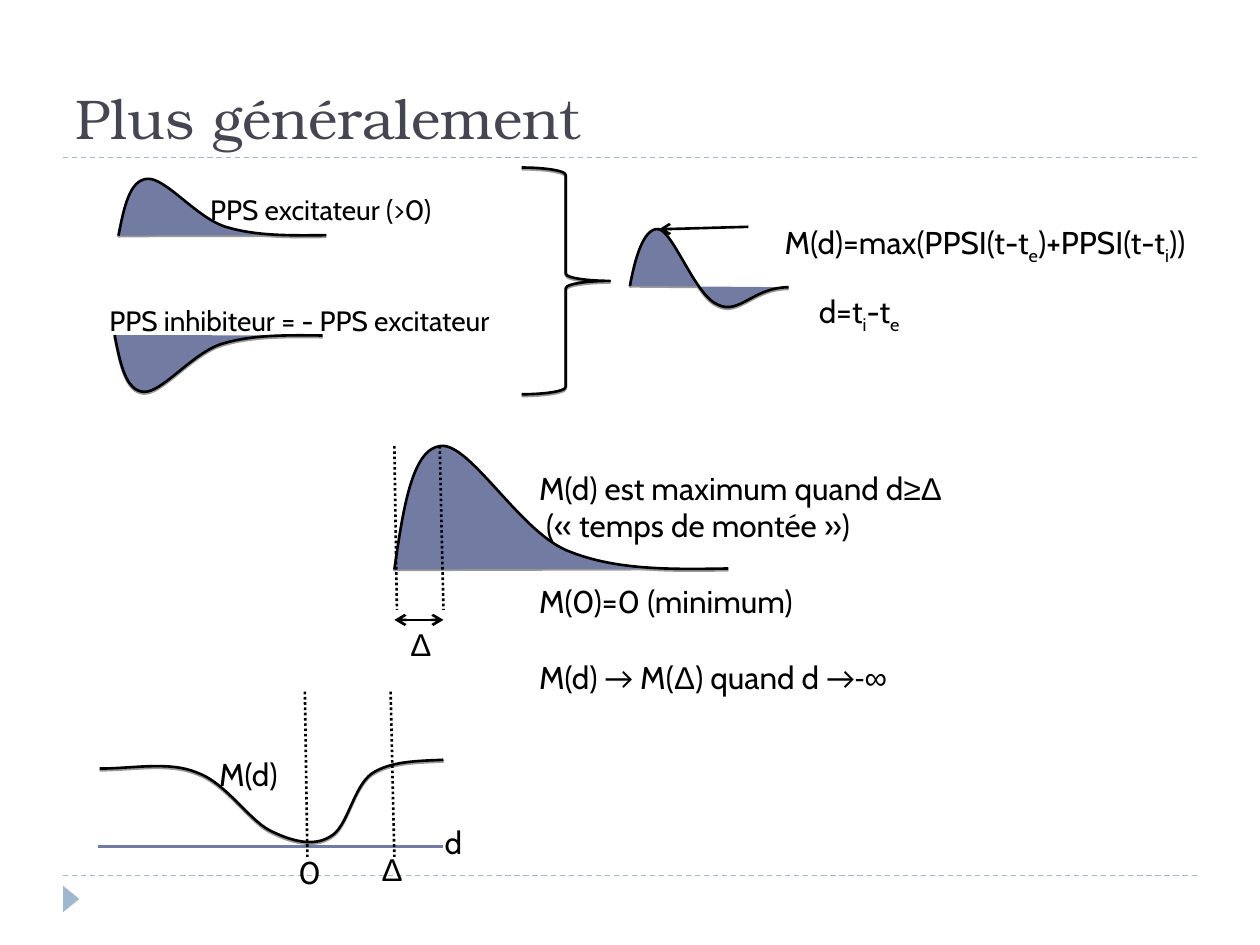
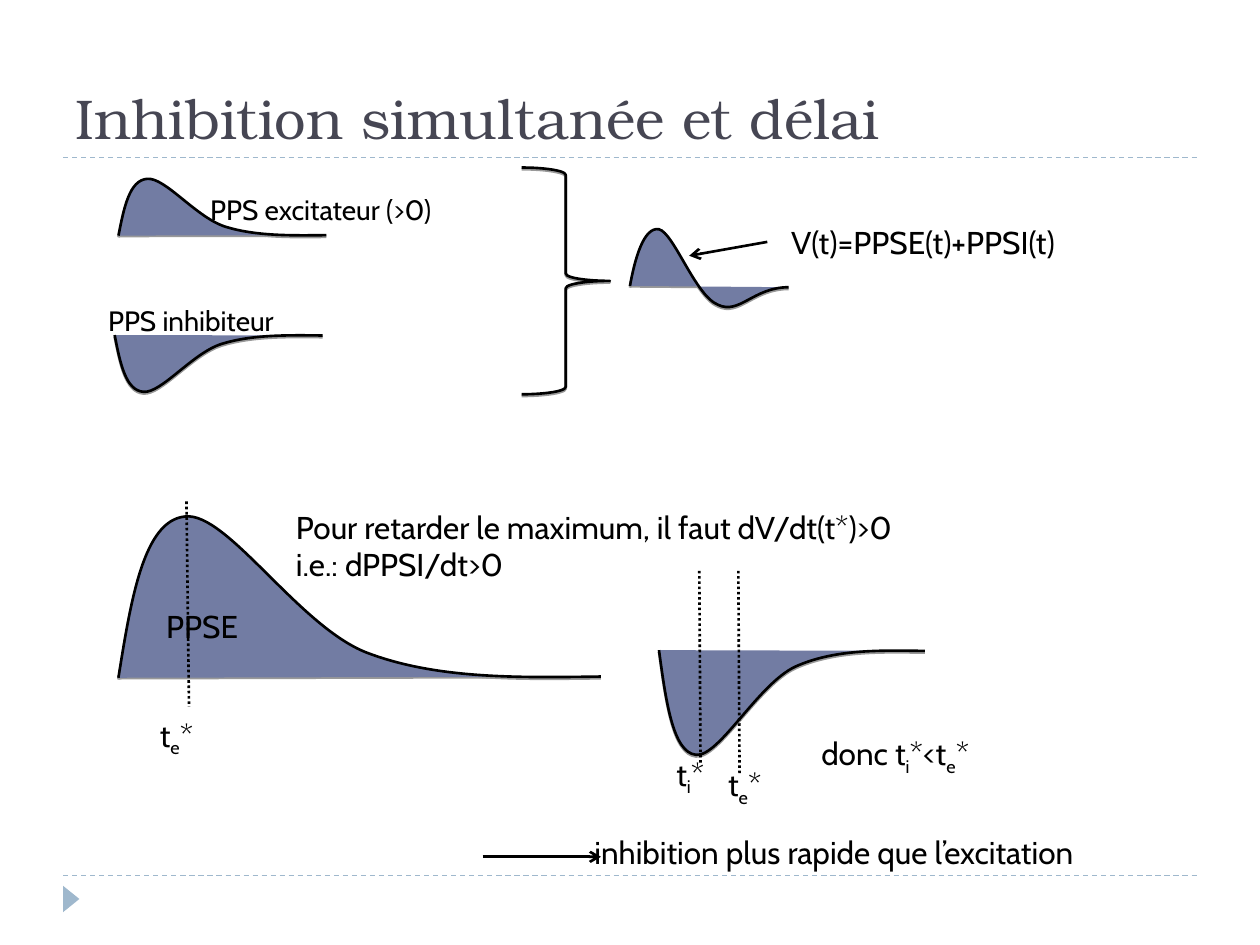
"""Builds two slides on excitatory and inhibitory postsynaptic potentials."""
from itertools import groupby

from lxml.etree import SubElement
from pptx import Presentation
from pptx.dml.color import RGBColor
from pptx.enum.dml import MSO_LINE_DASH_STYLE as DASH
from pptx.enum.shapes import MSO_CONNECTOR, MSO_SHAPE
from pptx.enum.text import MSO_ANCHOR, MSO_AUTO_SIZE, PP_ALIGN
from pptx.oxml.ns import qn
from pptx.util import Inches, Pt

BLACK = RGBColor(0x00, 0x00, 0x00)
INDIGO = RGBColor(0x72, 0x7C, 0xA3)
PALE_BLUE = RGBColor(0x9F, 0xB8, 0xCD)
TITLE_GREY = RGBColor(0x46, 0x46, 0x53)
TITLE_FONT, BODY_FONT = "TeX Gyre Bonum", "Cabin"
SYMBOL_FONTS = {"Δ": "Arial", "∞": "Arial", "→": "Calibri"}
RULES = (6.95, 1.25)

# Bezier points, y upwards, for a potential of width 3.83 and peak 1.28
PSP = [(0, 0), (0.10, 0.62), (0.20, 1.25), (0.53, 1.28), (0.86, 1.32),
       (1.43, 0.41), (1.97, 0.20), (2.52, -0.01), (3.17, 0), (3.83, 0.01)]
PSP_WIDTH, PSP_PEAK = 3.83, 1.28
SUM_CURVE = [(5, 2.27), (5.04, 2.05), (5.11, 1.8), (5.23, 1.82), (5.35, 1.85),
             (5.52, 2.35), (5.7, 2.42), (5.87, 2.5), (5.98, 2.28), (6.26, 2.28)]
M_CURVE = [(0.79, 6.1), (1.06, 6.1), (1.34, 6.04), (1.56, 6.13), (1.79, 6.21),
           (1.97, 6.5), (2.14, 6.59), (2.32, 6.68), (2.49, 6.72), (2.62, 6.64),
           (2.76, 6.57), (2.8, 6.25), (2.95, 6.14), (3.1, 6.04), (3.31, 6.04),
           (3.52, 6.03)]

# Potentials: left, baseline, width, peak (negative when inhibitory)
COMMON_PSPS = [(0.91, 2.66, 1.65, -0.45), (0.94, 1.87, 1.65, 0.45)]
# Texts: left, top, width, height, size, lines; "_" lowers a letter, "|" parts runs
COMMON_TEXTS = [(1.57, 1.48, 2.13, 0.37, 16, ["PPS excitateur (>0)"])]

SLIDES = [
    {
        "title": "Plus généralement",
        "psps": [(3.13, 4.52, 2.65, 0.98)],
        "outlines": [M_CURVE],
        "arrows": [(5.94, 1.8, 5.23, 1.82, "tail"), (3.13, 4.92, 3.52, 4.92, "both")],
        "axes": [(0.78, 6.72, 3.52, 6.72)],
        "dotted": [(3.49, 3.54, 3.52, 4.84), (3.13, 3.54, 3.15, 4.84),
                   (3.1, 5.49, 3.13, 6.8), (2.42, 5.49, 2.44, 6.8)],
        "texts": [
            (6.4, 2.27, 0.87, 0.44, 18, ["d=t_i-t_e"]),
            (0.77, 2.36, 3.52, 0.37, 16, ["PPS inhibiteur = - PPS excitateur"]),
            (6.13, 1.72, 3.66, 0.44, 18, ["M(d)=max(PPSI(t-t_e)+PPSI(t-t_i))"]),
            (4.18, 3.67, 3.79, 1.9, 18,
             ["M(d) est maximum quand d|≥Δ", " (« temps de montée »)",
              "M(0)=0 (minimum)", "M(d)| →| M(|Δ|) quand d| →-|∞"]),
            (3.16, 4.91, 0.36, 0.4, 18, ["Δ"]),
            (2.93, 6.7, 0.36, 0.4, 18, ["Δ"]),
            (2.27, 6.72, 0.34, 0.4, 18, ["0"]),
            (3.43, 6.48, 0.35, 0.4, 18, ["d"]),
            (1.64, 5.94, 0.78, 0.4, 18, ["M(d)"]),
        ],
    },
    {
        "title": "Inhibition simultanée et délai",
        "psps": [(0.94, 5.38, 3.83, 1.28), (5.23, 5.16, 2.11, -0.83)],
        "outlines": [],
        "arrows": [(6.09, 1.92, 5.47, 2.03, "tail"), (3.83, 6.8, 4.77, 6.8, "tail")],
        "axes": [],
        "dotted": [(1.48, 3.98, 1.5, 5.61), (5.86, 4.53, 5.87, 6.15),
                   (5.55, 4.53, 5.56, 6.07)],
        "texts": [
            (0.76, 2.36, 1.66, 0.37, 16, ["PPS inhibiteur"]),
            (6.18, 1.72, 2.46, 0.4, 18, ["V(t)=PPSE(t)+PPSI(t)"]),
            (2.25, 3.98, 5.49, 0.7, 18,
             ["Pour retarder le maximum, il faut dV/dt(t*)>0", "i.e.: dPPSI/dt>0"]),
            (1.17, 5.63, 0.51, 0.44, 18, ["t_e*"]),
            (1.22, 4.77, 0.78, 0.4, 18, ["PPSE"]),
            (5.68, 6.02, 0.51, 0.44, 18, ["t_e*"]),
            (5.27, 5.94, 0.46, 0.44, 18, ["t_i*"]),
            (6.42, 5.78, 1.56, 0.44, 18, ["donc t_i*<t_e*"]),
            (4.62, 6.56, 4.53, 0.4, 18, ["inhibition plus rapide que l’excitation"]),
        ],
    },
]


def style_outline(sp, fill=None):
    sp.shadow.inherit = False
    if fill is None:
        sp.fill.background()
    else:
        sp.fill.solid()
        sp.fill.fore_color.rgb = fill
    sp.line.color.rgb = BLACK
    sp.line.width = Pt(1.5)
    effects = sp._element.spPr.find(qn("a:effectLst"))
    shadow = SubElement(effects, qn("a:outerShdw"), blurRad="0", dist=str(Pt(1)),
                        dir="5400000", algn="ctr", rotWithShape="0")
    color = SubElement(shadow, qn("a:srgbClr"), val=str(BLACK))
    SubElement(color, qn("a:alpha"), val="40000")


def bend_segments(sp):
    outline = next(sp._element.iter(qn("a:pathLst")))[0]
    segments = outline.findall(qn("a:lnTo"))
    for i in range(0, len(segments), 3):
        bezier = SubElement(outline, qn("a:cubicBezTo"))
        for segment in segments[i:i + 3]:
            bezier.append(segment[0])
            outline.remove(segment)


def add_curve(s, points, fill=None):
    start, *rest = [(Inches(x), Inches(y)) for x, y in points]
    builder = s.shapes.build_freeform(*start)
    builder.add_line_segments(rest, close=False)
    sp = builder.convert_to_shape()
    bend_segments(sp)
    style_outline(sp, fill)


def add_psp(s, left, base, width, peak):
    add_curve(s, [(left + x * width / PSP_WIDTH, base - y * peak / PSP_PEAK)
                  for x, y in PSP], INDIGO)


def add_line(s, ends, color=BLACK, width=1.5, dash=None, arrow=None):
    line = s.shapes.add_connector(MSO_CONNECTOR.STRAIGHT, *map(Inches, ends))
    line.line.color.rgb = color
    line.line.width = Pt(width)
    if dash is not None:
        line.line.dash_style = dash
    ln = line.line._get_or_add_ln()
    if arrow == "both":
        SubElement(ln, qn("a:headEnd"), type="arrow")
    if arrow:
        SubElement(ln, qn("a:tailEnd"), type="arrow")
    SubElement(line._element.spPr, qn("a:effectLst"))


def add_runs(p, text, size):
    for piece in text.split("|"):
        font = next((f for c, f in SYMBOL_FONTS.items() if c in piece), BODY_FONT)
        marked = [(c, i > 0 and piece[i - 1] == "_")
                  for i, c in enumerate(piece) if c != "_"]
        for lowered, group in groupby(marked, key=lambda m: m[1]):
            r = p.add_run()
            r.text = "".join(c for c, _ in group)
            r.font.name, r.font.size = font, Pt(size)
            r.font.color.rgb = BLACK
            if lowered:
                r._r.get_or_add_rPr().set("baseline", "-25000")


def add_text(s, left, top, width, height, size, lines):
    tf = s.shapes.add_textbox(*map(Inches, (left, top, width, height))).text_frame
    tf.word_wrap = False
    tf.auto_size = MSO_AUTO_SIZE.SHAPE_TO_FIT_TEXT
    for i, text in enumerate(lines):
        p = tf.add_paragraph() if i else tf.paragraphs[0]
        if i > 1:
            p.space_before = Pt(21.6)
        add_runs(p, text, size)


def add_frame(s, title):
    for y in RULES:
        add_line(s, (0.5, y, 9.5, y), PALE_BLUE, 0.75, DASH.DASH)
    marker = s.shapes.add_shape(MSO_SHAPE.ISOSCELES_TRIANGLE, Inches(0.46),
                                Inches(7.07), Inches(0.21), Inches(0.13))
    marker.rotation = 90
    marker.shadow.inherit = False
    marker.fill.solid()
    marker.fill.fore_color.rgb = PALE_BLUE
    marker.line.fill.background()

    sp = s.shapes.title
    sp.left, sp.top, sp.width, sp.height = map(Inches, (0.5, 0.17, 9, 1.08))
    tf = sp.text_frame
    tf.text = title
    tf.vertical_anchor = MSO_ANCHOR.BOTTOM
    tf.auto_size = MSO_AUTO_SIZE.NONE
    p = tf.paragraphs[0]
    p.alignment = PP_ALIGN.LEFT
    font = p.runs[0].font
    font.name, font.size = TITLE_FONT, Pt(32)
    font.color.rgb = TITLE_GREY


def build_slide(prs, content):
    s = prs.slides.add_slide(prs.slide_layouts[5])
    add_frame(s, content["title"])
    for psp in COMMON_PSPS + content["psps"]:
        add_psp(s, *psp)
    style_outline(s.shapes.add_shape(MSO_SHAPE.RIGHT_BRACE, Inches(4.14),
                                     Inches(1.33), Inches(0.7), Inches(1.8)))
    add_curve(s, SUM_CURVE, INDIGO)
    for points in content["outlines"]:
        add_curve(s, points)
    for *ends, arrow in content["arrows"]:
        add_line(s, ends, arrow=arrow)
    for ends in content["axes"]:
        add_line(s, ends, INDIGO)
    for ends in content["dotted"]:
        add_line(s, ends, dash=DASH.ROUND_DOT)
    for text in COMMON_TEXTS + content["texts"]:
        add_text(s, *text)


def main():
    prs = Presentation()
    prs.slide_width, prs.slide_height = Inches(10), Inches(7.5)
    for content in SLIDES:
        build_slide(prs, content)
    prs.save("out.pptx")


if __name__ == "__main__":
    main()
